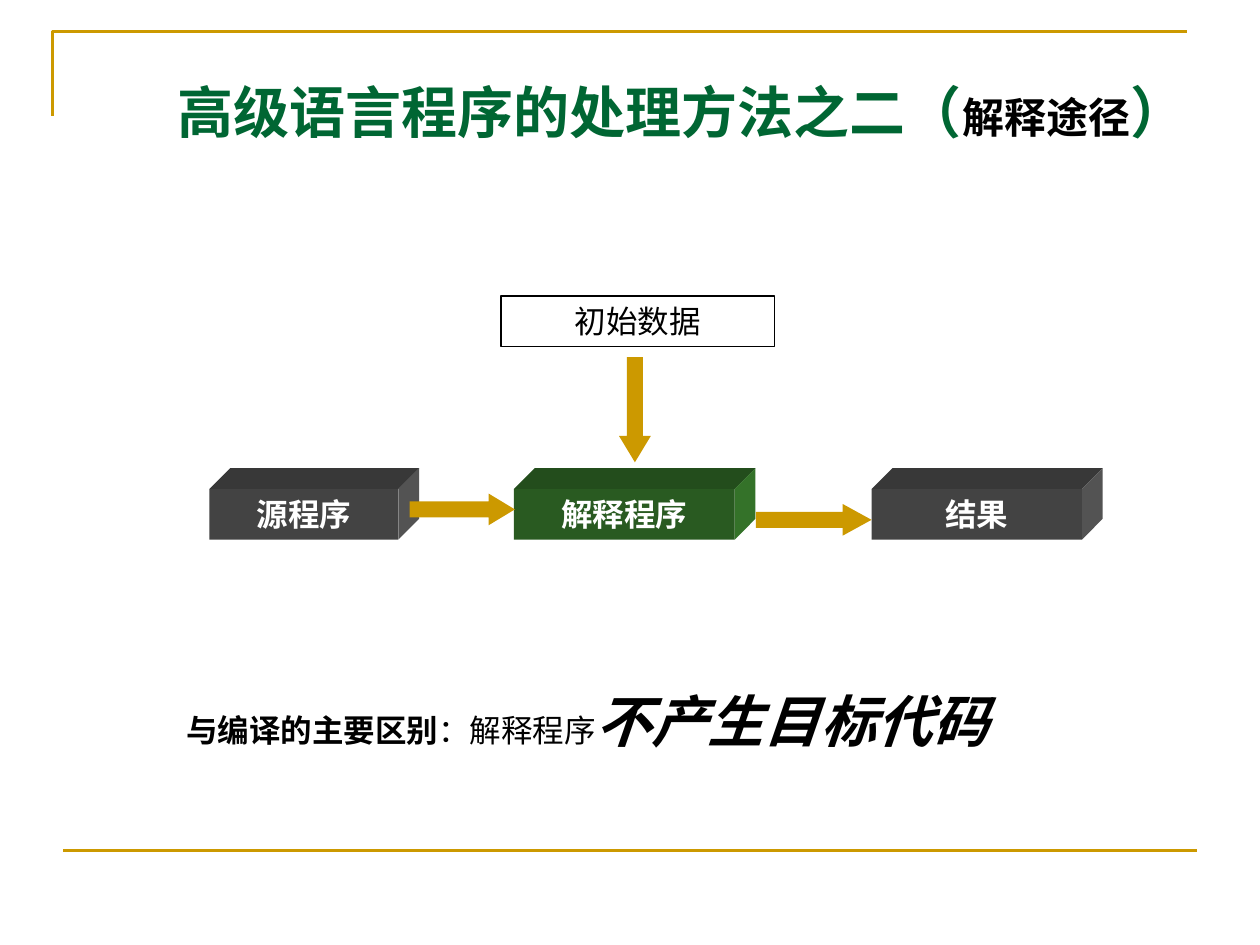
"""Build the slide on running a program by interpreter."""
from dataclasses import dataclass

from lxml.etree import SubElement as SubEl
from pptx import Presentation as Deck
from pptx.dml.color import RGBColor as Rgb
from pptx.enum.shapes import MSO_CONNECTOR as Link, MSO_SHAPE as Kind
from pptx.enum.text import MSO_ANCHOR as Anchor, MSO_AUTO_SIZE as Fit, PP_ALIGN as Align
from pptx.oxml.ns import qn
from pptx.util import Cm, Pt

HEX = {
    "gold": "CC9900", "title": "006633", "black": "000000", "white": "FFFFFF",
    "gray": "434343", "gray_top": "383838", "gray_side": "535353",
    "green": "295A21", "green_top": "234D1C", "green_side": "347229",
}
ROMAN = "Times New Roman"
DEPTH = 0.42
BOX_TOP, BOX_TALL = 9.86, 1.02
THICK = 0.64


@dataclass
class Span:
    text: str
    size: int = 18
    color: str = "black"
    name: str = ROMAN
    bold: bool = False
    italic: bool = False


@dataclass
class Block:
    text: str
    left: float
    width: float
    hue: str


@dataclass
class Arrow:
    kind: Kind
    left: float
    top: float
    width: float
    height: float


def rgb(key: str) -> Rgb:
    return Rgb.from_string(HEX[key])


def write(shape, spans: list, align=Align.CENTER, anchor=Anchor.MIDDLE) -> None:
    frame = shape.text_frame
    form = {"word_wrap": True, "auto_size": Fit.NONE, "vertical_anchor": anchor}
    for key, value in form.items():
        setattr(frame, key, value)
    para = frame.paragraphs[0]
    para.alignment = align
    for span in spans:
        run = para.add_run()
        run.text = span.text
        look = {"size": Pt(span.size), "name": span.name,
                "bold": span.bold, "italic": span.italic}
        for key, value in look.items():
            setattr(run.font, key, value)
        run.font.color.rgb = rgb(span.color)


def paint(shape, fill: str = "", line: str = "", weight: float = 0.75) -> None:
    shape.shadow.inherit = False
    if fill:
        shape.fill.solid()
        shape.fill.fore_color.rgb = rgb(fill)
    else:
        shape.fill.background()
    if line:
        shape.line.color.rgb = rgb(line)
        shape.line.width = Pt(weight)
    else:
        shape.line.fill.background()


def trace(shapes, points: list, close: bool):
    first, *rest = [(Cm(x), Cm(y)) for x, y in points]
    pen = shapes.build_freeform(*first)
    pen.add_line_segments(rest, close=close)
    return pen.convert_to_shape()


def add_rect(shapes, left: float, top: float, width: float):
    return shapes.add_shape(Kind.RECTANGLE, Cm(left), Cm(top), Cm(width), Cm(BOX_TALL))


def draw_frame(shapes) -> None:
    paint(trace(shapes, [(1.06, 2.33), (1.06, 0.64), (23.92, 0.64)], False),
          line="gold", weight=1.5)
    rule = shapes.add_connector(Link.STRAIGHT, Cm(1.27), Cm(17.15), Cm(24.13), Cm(17.15))
    rule.line.color.rgb = rgb("gold")
    rule.line.width = Pt(1.5)
    SubEl(rule._element.spPr, qn("a:effectLst"))


def draw_block(shapes, block: Block) -> None:
    left, right = block.left, block.left + block.width
    top, low = BOX_TOP, BOX_TOP + BOX_TALL
    edge = [(right, top), (right + DEPTH, top - DEPTH)]
    faces = {
        "top": [(left, top), *edge, (left + DEPTH, top - DEPTH)],
        "side": [*edge, (right + DEPTH, low - DEPTH), (right, low)],
    }
    for face, points in faces.items():
        paint(trace(shapes, points, True), f"{block.hue}_{face}")
    front = add_rect(shapes, left, top, block.width)
    paint(front, block.hue)
    write(front, [Span(block.text, color="white", bold=True)])


def draw_arrow(shapes, arrow: Arrow) -> None:
    shape = shapes.add_shape(arrow.kind, Cm(arrow.left), Cm(arrow.top),
                             Cm(arrow.width), Cm(arrow.height))
    shape.adjustments[0] = 0.5
    shape.adjustments[1] = max(arrow.width, arrow.height) / 4 / THICK
    paint(shape, "gold")


def main() -> None:
    deck = Deck()
    deck.slide_width, deck.slide_height = Cm(25.4), Cm(19.05)
    slide = deck.slides.add_slide(deck.slide_layouts[5])
    shapes = slide.shapes
    draw_frame(shapes)

    title = shapes.title
    place = {"left": 2.41, "top": 1.45, "width": 22.68, "height": 1.6}
    for key, value in place.items():
        setattr(title, key, Cm(value))
    write(title, [
        Span("高级语言程序的处理方法之二（", 32, "title", "Cambria", True),
        Span("解释途径", 24, bold=True),
        Span("）", 32, "title", "Cambria", True),
    ])

    for block in (Block("源程序", 4.22, 3.81, "gray"),
                  Block("结果", 17.57, 4.24, "gray"),
                  Block("解释程序", 10.36, 4.45, "green")):
        draw_block(shapes, block)
    for arrow in (Arrow(Kind.RIGHT_ARROW, 8.26, 9.95, 2.12, THICK),
                  Arrow(Kind.RIGHT_ARROW, 15.24, 10.16, 2.33, THICK),
                  Arrow(Kind.DOWN_ARROW, 12.48, 7.2, THICK, 2.12)):
        draw_arrow(shapes, arrow)

    data = add_rect(shapes, 10.1, 5.97, 5.51)
    paint(data, line="black")
    write(data, [Span("初始数据")])

    note = shapes.add_textbox(Cm(3.51), Cm(13.72), Cm(20.12), Cm(1.6))
    write(note, [
        Span("与编译的主要区别", bold=True),
        Span("：解释程序"),
        Span("不产生目标代码", 32, bold=True, italic=True),
    ], Align.LEFT, Anchor.TOP)
    deck.save("out.pptx")


main()
